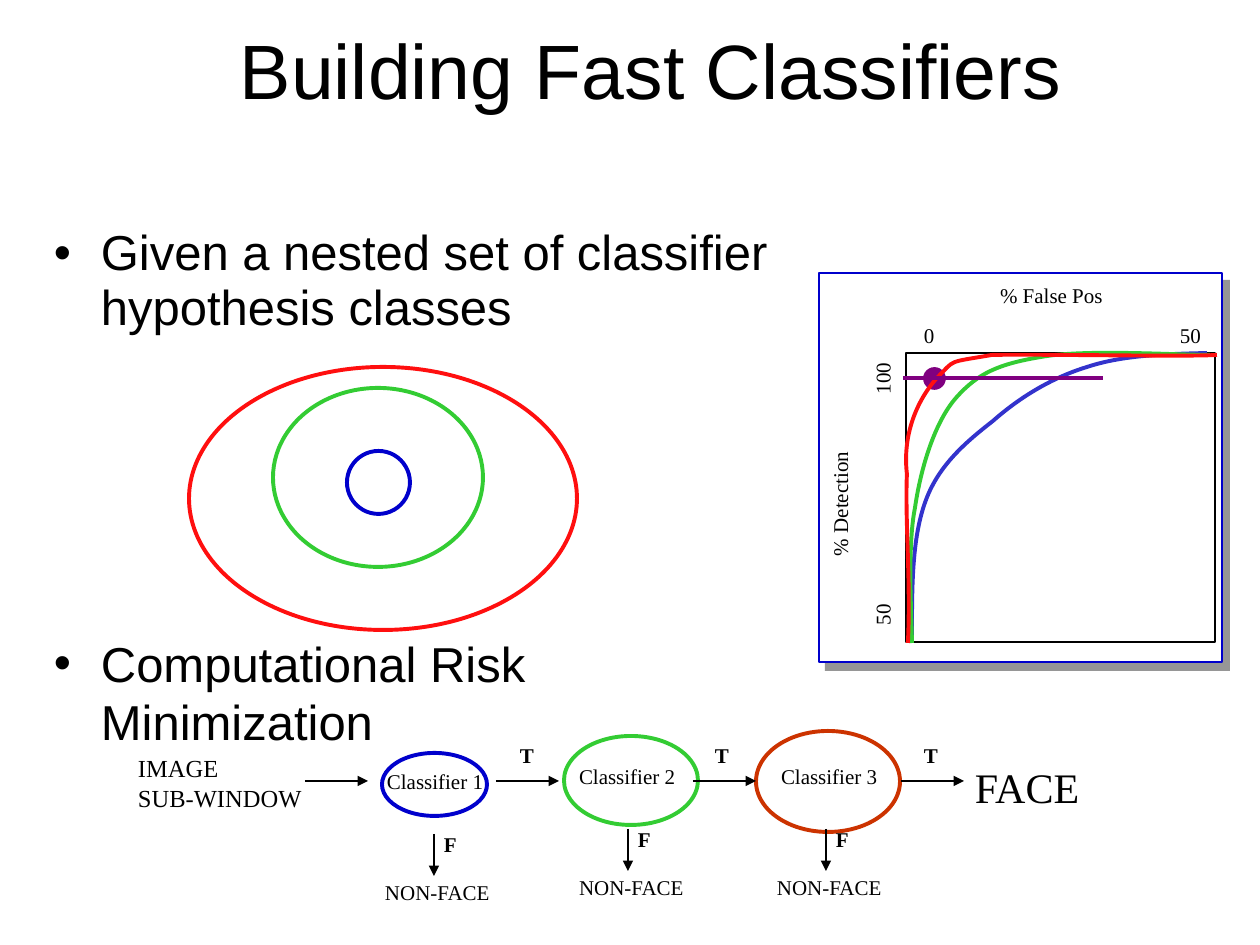
"""Build the slide on fast classifiers: nested classes, detection curves and a classifier cascade."""
from lxml import etree
from pptx import Presentation
from pptx.dml.color import RGBColor
from pptx.enum.shapes import MSO_CONNECTOR, MSO_SHAPE
from pptx.enum.text import MSO_ANCHOR, PP_ALIGN
from pptx.oxml.ns import qn
from pptx.util import Pt

PX = 914400 // 126
BLACK = RGBColor(0, 0, 0)
WHITE = RGBColor(0xFF, 0xFF, 0xFF)
GREY = RGBColor(0x96, 0x96, 0x96)
BLUE = RGBColor(0, 0, 0xCC)
CURVE_BLUE = RGBColor(0x33, 0x33, 0xCC)
GREEN = RGBColor(0x33, 0xCC, 0x33)
RED = RGBColor(0xFF, 0x0F, 0x0F)
RUST = RGBColor(0xCC, 0x33, 0)
PURPLE = RGBColor(0x80, 0, 0x80)
THIN, THICK = Pt(0.72), Pt(2.25)


def add_label(text, box, size=12, bold=False, font="Times New Roman", align=PP_ALIGN.LEFT, margins=(12, 6, 0, 6)):
    label = slide.shapes.add_textbox(*(n * PX for n in box))
    frame = label.text_frame
    frame.text = text
    frame.word_wrap = any(margins)
    frame.margin_left, frame.margin_top, frame.margin_right, frame.margin_bottom = (n * PX for n in margins)
    frame.paragraphs[0].line_spacing = 0.93
    for paragraph in frame.paragraphs:
        paragraph.alignment = align
        for run in paragraph.runs:
            run.font.name, run.font.size, run.font.bold = font, Pt(size), bold
            run.font.color.rgb = BLACK
    return label


def add_outline(kind, box, color, width, fill=None):
    outline = slide.shapes.add_shape(kind, *(n * PX for n in box))
    outline.shadow.inherit = False
    if fill is None:
        outline.fill.background()
    else:
        outline.fill.solid()
        outline.fill.fore_color.rgb = fill
    if color is None:
        outline.line.fill.background()
    else:
        outline.line.color.rgb = color
        outline.line.width = width
    return outline


deck = Presentation()
deck.slide_width, deck.slide_height = 1260 * PX, 945 * PX
slide = deck.slides.add_slide(deck.slide_layouts[6])

title = add_label("Building Fast Classifiers", (116, 24, 1071, 100), 44, False, "Arial", PP_ALIGN.CENTER, (12, 6, 13, 6))
title.text_frame.vertical_anchor = MSO_ANCHOR.MIDDLE

points = add_label("Given a nested set of classifier hypothesis classes\nComputational Risk Minimization",
                   (42, 221, 756, 599), 28, False, "Arial", margins=(12, 6, 13, 6))
for point in points.text_frame.paragraphs:
    properties = point._p.get_or_add_pPr()
    properties.set("marL", str(47 * PX))
    properties.set("indent", str(-47 * PX))
    etree.SubElement(properties, qn("a:buFont")).set("typeface", "Arial")
    etree.SubElement(properties, qn("a:buChar")).set("char", "•")
points.text_frame.paragraphs[1].space_before = Pt(169.5)

for box, color, fill in [((825, 280, 405, 391), None, GREY), ((819, 273, 403, 389), BLUE, WHITE),
                         ((906, 353, 309, 289), BLACK, None)]:
    panel = add_outline(MSO_SHAPE.ROUNDED_RECTANGLE, box, color, THIN, fill)
    panel.adjustments[0] = 0

for text, box, align, rotation in [
        ("% False Pos", (1000, 285, 103, 24), PP_ALIGN.CENTER, 0),
        ("% Detection", (789, 492, 105, 24), PP_ALIGN.CENTER, 270),
        ("0", (924, 325, 215, 24), PP_ALIGN.LEFT, 0),
        ("50", (1175, 325, 26, 24), PP_ALIGN.RIGHT, 0),
        ("50\t100", (752, 481, 264, 24), PP_ALIGN.LEFT, 270)]:
    axis_label = add_label(text, box, align=align, margins=(0, 0, 0, 0))
    axis_label.rotation = rotation
    axis_label.text_frame.word_wrap = align != PP_ALIGN.CENTER
    if "\t" in text:
        tabs = etree.SubElement(axis_label.text_frame.paragraphs[0]._p.get_or_add_pPr(), qn("a:tabLst"))
        tab = etree.SubElement(tabs, qn("a:tab"))
        tab.set("pos", str(231 * PX))
        tab.set("algn", "l")

add_outline(MSO_SHAPE.OVAL, (924, 368, 21, 21), PURPLE, Pt(1), PURPLE)

add_label("IMAGE\nSUB-WINDOW", (126, 750, 189, 69), 14)
add_label("FACE", (963, 760, 132, 60), 24)
arrows = [(305, 781, 368, 781)]
stages = [
    (1, (382, 753, 105, 63), BLUE, 375, 373, 434, 496, 508, 5),
    (2, (564, 736, 134, 89), GREEN, 567, 567, 628, 693, 703, 0),
    (3, (756, 731, 144, 101), RUST, 769, 765, 826, 901, 912, 0),
]
for number, oval, color, name_x, reject_x, down_x, next_x, pass_x, drop in stages:
    add_outline(MSO_SHAPE.OVAL, oval, color, THICK)
    add_label(f"Classifier {number}", (name_x, 760 + drop, 121, 37))
    add_label("T", (pass_x, 739, 39, 37), bold=True)
    add_label("F", (down_x - 2, 823 + drop, 38, 37), bold=True)
    add_label("NON-FACE", (reject_x, 871 + drop, 131, 37))
    arrows += [(next_x, 781, next_x + 63, 781), (down_x, 829 + drop, down_x, 871 + drop)]

curves = [
    (CURVE_BLUE, BLUE, (347, 451, 63, 63),
     [(912, 635), (912, 586), (912, 537), (926, 500), (939, 465), (966, 442), (993, 421),
      (1019, 398), (1051, 378), (1087, 367), (1123, 355), (1166, 354), (1207, 353)]),
    (GREEN, GREEN, (273, 388, 210, 179),
     [(912, 643), (912, 620), (907, 548), (915, 508), (921, 467), (935, 422), (956, 398),
      (978, 373), (999, 364), (1041, 357), (1084, 349), (1174, 355), (1210, 355)]),
    (RED, RED, (189, 367, 388, 263),
     [(908, 643), (911, 581), (905, 522), (907, 474), (902, 431), (920, 397), (937, 378),
      (956, 359), (946, 363), (992, 355), (1041, 354), (1184, 357), (1217, 355)]),
]
for curve_color, class_color, nested_class, knots in curves:
    builder = slide.shapes.build_freeform(*knots[0], scale=PX)
    builder.add_line_segments(knots[1:], close=False)
    curve = builder.convert_to_shape()
    route = curve._element.spPr.find(".//" + qn("a:path"))
    for index, segment in enumerate(route.findall(qn("a:lnTo"))):
        if index % 3 == 0:
            bend = etree.SubElement(route, qn("a:cubicBezTo"))
        bend.append(segment[0])
        route.remove(segment)
    curve.shadow.inherit = False
    curve.fill.background()
    curve.line.color.rgb = curve_color
    curve.line.width = THICK
    add_outline(MSO_SHAPE.OVAL, nested_class, class_color, THICK)

threshold = (903, 378, 1103, 378)
for ends in arrows + [threshold]:
    line = slide.shapes.add_connector(MSO_CONNECTOR.STRAIGHT, *(n * PX for n in ends))
    line.line.color.rgb = PURPLE if ends == threshold else BLACK
    line.line.width = THICK if ends == threshold else THIN
    if ends != threshold:
        etree.SubElement(line.line._get_or_add_ln(), qn("a:tailEnd")).set("type", "triangle")
    etree.SubElement(line._element.spPr, qn("a:effectLst"))

deck.save("out.pptx")
